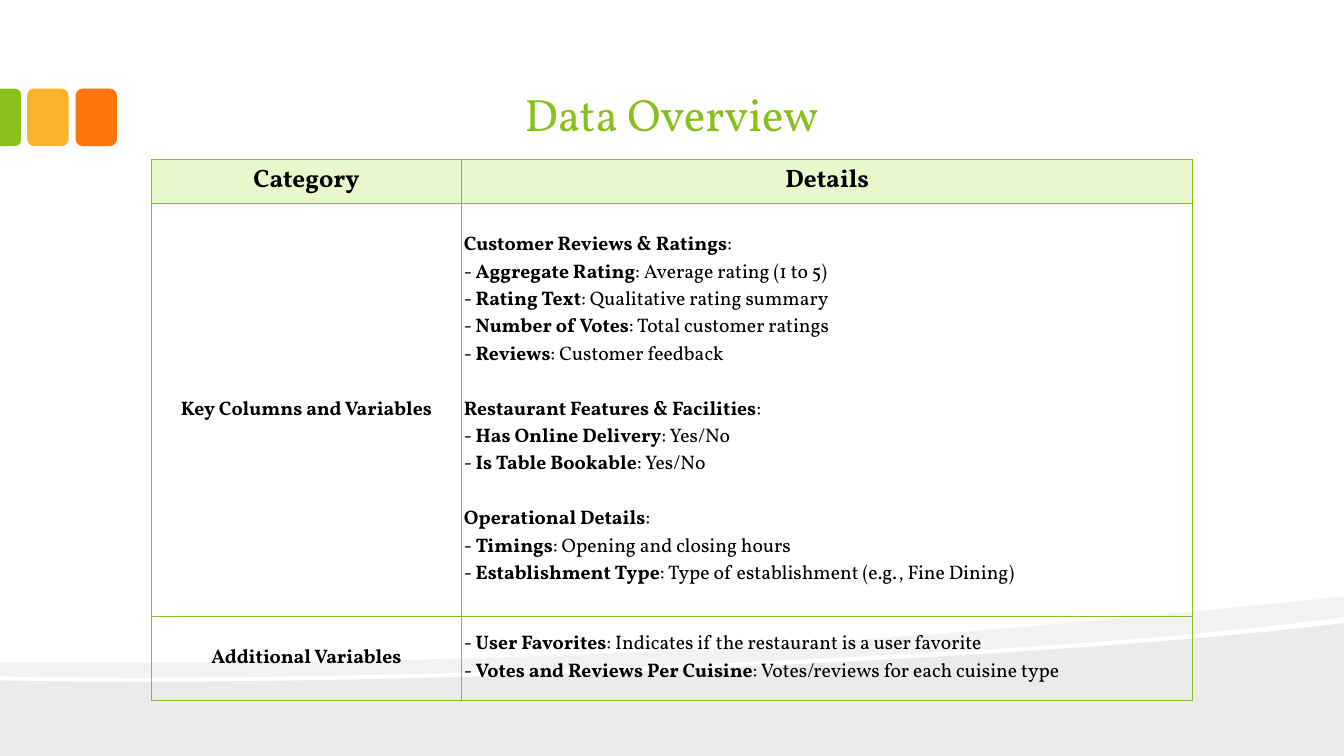
from lxml.etree import SubElement
from pptx import Presentation
from pptx.dml.color import RGBColor
from pptx.enum.shapes import MSO_SHAPE
from pptx.enum.text import MSO_ANCHOR, PP_ALIGN
from pptx.oxml.ns import qn
from pptx.util import Inches, Pt

HUES = {"lime": "89C01C", "gold": "FCB22C", "fire": "FE750E",
        "mint": "E9F8CC", "black": "000000"}
FACE = "Vollkorn"
TITLE = {"size": Pt(32.4), "name": FACE}
HEAD = {"size": Pt(18), "name": FACE, "bold": True}
LABEL = {"size": Pt(14), "name": FACE, "bold": True}
PLAIN = {"size": Pt(14), "name": FACE, "bold": False}
PAD = {"margin_left": Inches(0.02), "margin_right": Inches(0.02),
       "margin_top": Inches(0.01), "margin_bottom": Inches(0.01),
       "vertical_anchor": MSO_ANCHOR.MIDDLE}
COLS = (3.08, 7.25)
ROWS = (0.44, 4.1, 0.83)
BASE = (((13.33, 6.18),), ((13.33, 7.5),), ((0, 7.5),), ((0, 6.75),),
        ((3.52, 6.83), (10.42, 6.55), (13.33, 6.18)))
BAND = (((13.33, 5.92),), ((13.33, 6.12),),
        ((12.55, 6.23), (11.49, 6.33), (10.29, 6.41)),
        ((6.98, 6.63), (2.58, 6.77), (0, 6.71)), ((0, 6.57),),
        ((6.52, 6.62), (9.71, 6.27), (13.33, 5.92)))
GROUPS = (
    ("Customer Reviews & Ratings", (
        ("Aggregate Rating", "Average rating (1 to 5)"),
        ("Rating Text", "Qualitative rating summary"),
        ("Number of Votes", "Total customer ratings"),
        ("Reviews", "Customer feedback"))),
    ("Restaurant Features & Facilities", (
        ("Has Online Delivery", "Yes/No"),
        ("Is Table Bookable", "Yes/No"))),
    ("Operational Details", (
        ("Timings", "Opening and closing hours"),
        ("Establishment Type",
         "Type of establishment (e.g., Fine Dining)"))),
)
EXTRAS = (
    ("User Favorites", "Indicates if the restaurant is a user favorite"),
    ("Votes and Reviews Per Cuisine", "Votes/reviews for each cuisine type"),
)


def hue(name):
    """Return the named colour."""
    return RGBColor.from_string(HUES[name])


def apply(thing, style):
    """Set each value of a style on an object."""
    for key, value in style.items():
        setattr(thing, key, value)


def paint(shape, color):
    """Give a shape a flat fill with no line or shadow."""
    shape.shadow.inherit = False
    shape.fill.solid()
    shape.fill.fore_color.rgb = hue(color)
    shape.line.fill.background()


def add_wave(slide, steps, alpha):
    """Draw a see-through band; a step of three points is a curve."""
    dots = [(Inches(x), Inches(y)) for step in steps for x, y in step]
    pen = slide.shapes.build_freeform(*dots[0])
    pen.add_line_segments(dots[1:], close=True)
    wave = pen.convert_to_shape()
    paint(wave, "black")
    tone = wave.fill._xPr.find(qn("a:solidFill"))[0]
    SubElement(tone, qn("a:alpha"), val=str(alpha * 1000))
    lines = iter(list(wave._element.iter(qn("a:lnTo"))))
    for step in steps[1:]:
        parts = [next(lines) for _ in step]
        if len(parts) == 3:
            track = parts[0].getparent()
            bend = SubElement(track, qn("a:cubicBezTo"))
            track.replace(parts[0], bend)
            for part in parts:
                bend.append(part[0])
            for part in parts[1:]:
                track.remove(part)


def add_tile(slide, kind, box, color):
    """Add one coloured tile."""
    tile = slide.shapes.add_shape(kind, *map(Inches, box))
    paint(tile, color)
    return tile


def add_run(para, text, style, color="black"):
    """Add styled text to a paragraph."""
    run = para.add_run()
    run.text = text
    apply(run.font, style)
    run.font.color.rgb = hue(color)


def add_title(slide, text):
    """Add the centred title."""
    box = slide.shapes.add_textbox(*map(Inches, (1.33, 0.83, 10.66, 0.58)))
    frame = box.text_frame
    apply(frame, {"word_wrap": True, "vertical_anchor": MSO_ANCHOR.MIDDLE,
                  "margin_left": Inches(0.13), "margin_right": Inches(0.13),
                  "margin_top": Inches(0.07), "margin_bottom": Inches(0.07)})
    para = frame.paragraphs[0]
    para.alignment = PP_ALIGN.CENTER
    add_run(para, text, TITLE, "lime")


def edge(cell):
    """Draw the four borders of a cell."""
    props = cell._tc.get_or_add_tcPr()
    for spot, side in enumerate(("lnL", "lnR", "lnT", "lnB")):
        line = SubElement(props, qn(f"a:{side}"), w=str(Pt(1)))
        fill = SubElement(line, qn("a:solidFill"))
        SubElement(fill, qn("a:srgbClr"), val=HUES["lime"])
        props.insert(spot, line)


def add_label(cell, text, style):
    """Write one centred label in a cell."""
    para = cell.text_frame.paragraphs[0]
    para.alignment = PP_ALIGN.CENTER
    add_run(para, text, style)


def add_lines(cell, groups):
    """Write each group of named details as one paragraph."""
    frame = cell.text_frame
    for place, (title, items) in enumerate(groups):
        para = frame.add_paragraph() if place else frame.paragraphs[0]
        if place:
            para.space_before = Pt(19.6)
        if title:
            add_run(para, title, LABEL)
            add_run(para, ":", PLAIN)
        for spot, (name, note) in enumerate(items):
            if title or spot:
                para.add_line_break()
            add_run(para, "- ", PLAIN)
            add_run(para, name, LABEL)
            add_run(para, f": {note}", PLAIN)
        for gap in para._p.findall(qn("a:br")):
            SubElement(gap, qn("a:rPr"), sz="1400")


def add_grid(slide):
    """Add the table of categories and details."""
    box = (1.5, 1.58, sum(COLS), sum(ROWS))
    grid = slide.shapes.add_table(len(ROWS), len(COLS),
                                  *map(Inches, box)).table
    apply(grid, {"first_row": False, "horz_banding": False})
    for col, width in zip(grid.columns, COLS):
        col.width = Inches(width)
    for row, height in zip(grid.rows, ROWS):
        row.height = Inches(height)
    for cell in grid.iter_cells():
        apply(cell, PAD)
        cell.fill.background()
        edge(cell)
    for col, text in enumerate(("Category", "Details")):
        cell = grid.cell(0, col)
        cell.fill.solid()
        cell.fill.fore_color.rgb = hue("mint")
        add_label(cell, text, HEAD)
    body = (("Key Columns and Variables", GROUPS),
            ("Additional Variables", (("", EXTRAS),)))
    for row, (name, groups) in enumerate(body, 1):
        add_label(grid.cell(row, 0), name, LABEL)
        add_lines(grid.cell(row, 1), groups)


def main():
    """Build and save the slide."""
    deck = Presentation()
    apply(deck, {"slide_width": Inches(13.33), "slide_height": Inches(7.5)})
    slide = deck.slides.add_slide(deck.slide_layouts[6])
    add_wave(slide, BASE, 8)
    add_wave(slide, BAND, 5)
    for left, color in ((0.75, "fire"), (0.27, "gold")):
        add_tile(slide, MSO_SHAPE.ROUNDED_RECTANGLE,
                 (left, 0.88, 0.41, 0.57), color)
    stub = add_tile(slide, MSO_SHAPE.ROUND_2_SAME_RECTANGLE,
                    (-0.18, 1.06, 0.57, 0.21), "lime")
    stub.rotation = 90
    stub.adjustments[0] = 0.29
    add_title(slide, "Data Overview")
    add_grid(slide)
    deck.save("out.pptx")


if __name__ == "__main__":
    main()
